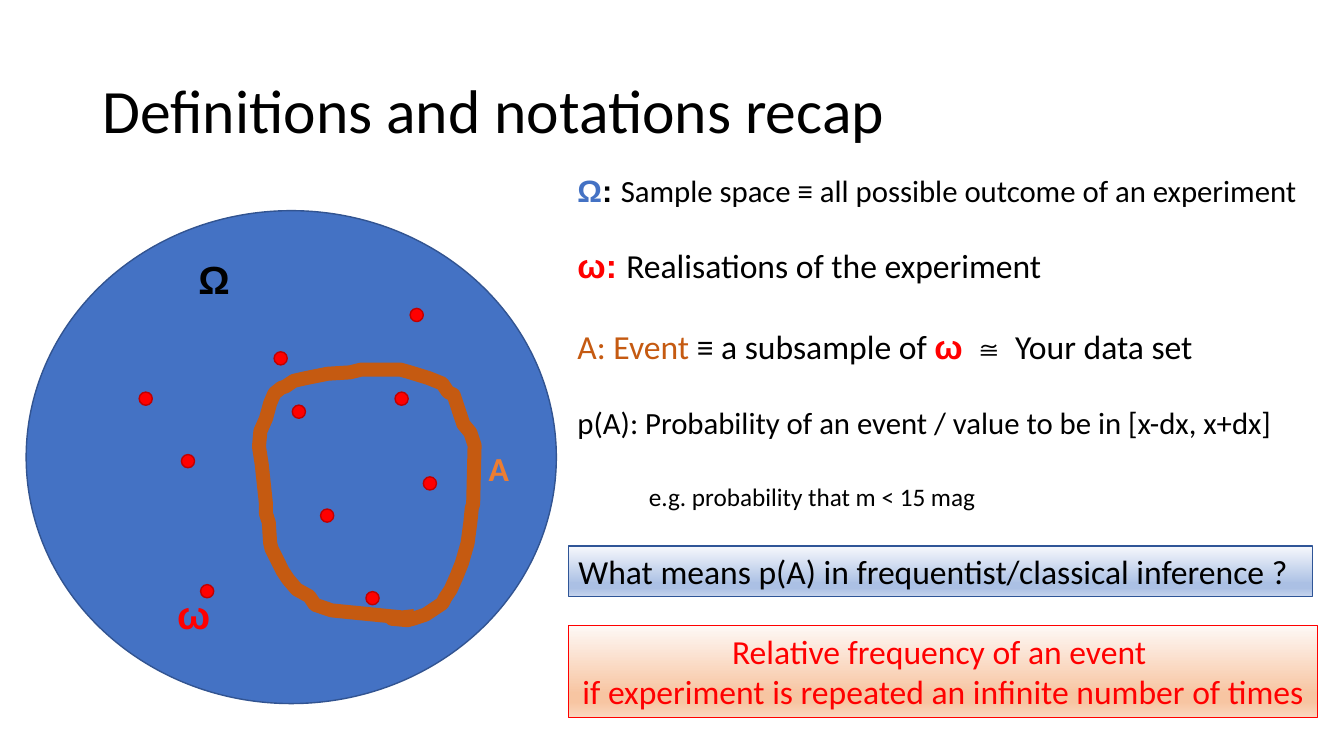
import copy
from dataclasses import dataclass

import pptx
import pptx.dml.color
import pptx.enum.shapes
import pptx.enum.text
import pptx.oxml
import pptx.oxml.ns
import pptx.util

Pt = pptx.util.Pt
Shape = pptx.enum.shapes.MSO_SHAPE
Align = pptx.enum.text.PP_ALIGN
Anchor = pptx.enum.text.MSO_ANCHOR
qn = pptx.oxml.ns.qn

BLACK, RED, BLUE, BROWN = "000000", "FF0000", "4472C4", "C55A11"


@dataclass
class Run:
    text: str
    size: float
    color: str = BLACK
    bold: bool = False
    font: str = "Calibri"


@dataclass
class Line:
    runs: list[Run]
    before: float = 0
    align: Align = Align.LEFT
    pitch: float = 1


@dataclass
class Label:
    x: float
    y: float
    w: float
    h: float
    lines: list[Line]
    wrap: bool = False
    anchor: Anchor = Anchor.TOP


@dataclass
class Panel:
    label: Label
    stops: list[tuple[float, str]]
    edge: str
    width: float


def paint(code: str) -> pptx.dml.color.RGBColor:
    return pptx.dml.color.RGBColor.from_string(code)


def write(shape, label: Label) -> None:
    frame = shape.text_frame
    frame.word_wrap = label.wrap
    frame.vertical_anchor = label.anchor
    for index, line in enumerate(label.lines):
        para = frame.paragraphs[0] if index == 0 else frame.add_paragraph()
        para.alignment = line.align
        para.line_spacing = line.pitch
        para.space_before = Pt(line.before)
        for part in line.runs:
            run = para.add_run()
            run.text = part.text
            run.font.size = Pt(part.size)
            run.font.name = part.font
            run.font.bold = part.bold
            run.font.color.rgb = paint(part.color)


def add_label(slide, label: Label) -> None:
    box = slide.shapes.add_textbox(Pt(label.x), Pt(label.y), Pt(label.w), Pt(label.h))
    write(box, label)


def add_disc(slide, x: float, y: float, w: float, h: float, fill: str, edge: str) -> None:
    disc = slide.shapes.add_shape(Shape.OVAL, Pt(x), Pt(y), Pt(w), Pt(h))
    disc.shadow.inherit = False
    disc.fill.solid()
    disc.fill.fore_color.rgb = paint(fill)
    disc.line.color.rgb = paint(edge)
    disc.line.width = Pt(1)


def add_panel(slide, panel: Panel) -> None:
    label = panel.label
    box = slide.shapes.add_shape(
        Shape.RECTANGLE, Pt(label.x), Pt(label.y), Pt(label.w), Pt(label.h))
    box.shadow.inherit = False
    box.fill.gradient()
    box.fill.gradient_angle = 270
    stops = box._element.spPr.find(qn("a:gradFill")).find(qn("a:gsLst"))
    while len(stops) < len(panel.stops):
        stops.append(copy.deepcopy(stops[0]))
    for stop, (place, code) in zip(box.fill.gradient_stops, panel.stops):
        stop.position = place
        stop.color.rgb = paint(code)
    box.line.color.rgb = paint(panel.edge)
    box.line.width = Pt(panel.width)
    write(box, label)


def add_loop(slide, points: list[tuple[float, float]], color: str, width: float) -> None:
    pen = slide.shapes.build_freeform(*points[0], scale=Pt(1))
    pen.add_line_segments(points[1:], close=False)
    loop = pen.convert_to_shape()
    loop.shadow.inherit = False
    loop.fill.background()
    loop.line.color.rgb = paint(color)
    loop.line.width = Pt(width)
    loop.line._get_or_add_ln().append(pptx.oxml.parse_xml(
        f'<a:round xmlns:a="{pptx.oxml.ns.nsuri("a")}"/>'))


def sign(text: str, size: float, color: str) -> Run:
    return Run(text, size, color, True, "Arial")


TITLE = Label(66, 28.8, 828, 104.4, [
    Line([Run("Definitions and notations recap", 44)], pitch=0.9)], True, Anchor.MIDDLE)

TERMS = Label(405.4, 118.8, 545, 200.9, [
    Line([sign("Ω", 22, BLUE), sign(": ", 22, BLACK),
          Run("Sample space ≡ all possible outcome of an experiment", 22)]),
    Line([sign("ω: ", 24, RED), Run("Realisations of the experiment", 24)], 26.5),
    Line([Run("A: Event ", 24, BROWN), Run("≡ a subsample of ", 24),
          sign("ω ", 24, RED), sign("≅ ", 24, BLACK), Run("Your data set", 24)], 29),
    Line([Run("p(A): Probability of an event / value to be in [x-dx, x+dx]", 22)], 26.5),
])

LABELS = [
    TITLE,
    TERMS,
    Label(134.6, 178.6, 36, 41, [Line([sign("Ω", 28, BLACK)])]),
    Label(119.5, 418.3, 33.8, 41, [Line([sign("ω", 28, RED)])]),
    Label(342, 316.1, 29.5, 36, [Line([Run("A", 24, "ED7D31", True)])]),
    Label(456.5, 340.6, 254.9, 28.8, [Line([Run("e.g. probability that m < 15 mag", 18)])]),
]

PANELS = [
    Panel(Label(406.1, 390.2, 531.4, 36, [
        Line([Run("What means p(A) in frequentist/classical inference ?", 24)])]),
        [(0, "F6F8FC"), (0.74, "ABC0E4"), (0.83, "ABC0E4"), (1, "C7D5ED")],
        "2F5597", 1.25),
    Panel(Label(406.1, 447.1, 535, 65.5, [
        Line([Run(text, 24, RED)], align=Align.CENTER) for text in (
            "Relative frequency of an event ",
            "if experiment is repeated an infinite number of times")]),
        [(0, "FEF8F5"), (0.74, "F7C5A2"), (0.83, "F7C5A2"), (1, "FAD8C1")],
        RED, 0.75),
]

DOT = 9.4
DOTS = [
    (208.8, 289.4), (293, 220.3), (99.4, 280.1), (229, 363.6), (302.4, 340.6),
    (129.6, 324.7), (143.3, 417.6), (282.2, 280.1), (261.4, 422.6), (195.8, 251.3),
]

EVENT = [
    (287, 441), (237, 436), (225, 431.5), (221, 426), (212, 421), (206, 414),
    (202, 408), (197, 398), (194.5, 392.5), (193, 387.5), (191.5, 373), (190, 367),
    (189.5, 360), (187, 332.5), (185, 319), (186.5, 307.5), (189.5, 299),
    (193, 287.5), (196.5, 281), (201, 277), (204.5, 276.5), (210, 272),
    (219, 269.5), (234, 267), (250, 266.5), (258.5, 264.5), (266.5, 263.5),
    (286, 264.5), (293, 266.5), (306.5, 269.5), (315.5, 274.5), (320.5, 279.5),
    (323.5, 282), (326, 288), (328.5, 294), (331, 303), (335.5, 309), (339, 318),
    (338.5, 360), (337, 363), (335.5, 373), (333.5, 387.5), (330, 402),
    (326, 412.5), (322, 421), (318, 427), (315.5, 431), (309.5, 435), (304, 439),
    (295, 442), (291, 443), (279.5, 442), (296, 440.5),
]


def main() -> None:
    deck = pptx.Presentation()
    deck.slide_width, deck.slide_height = Pt(960), Pt(540)
    slide = deck.slides.add_slide(deck.slide_layouts[6])
    add_disc(slide, 18.7, 150.5, 378.7, 352.1, BLUE, "325491")
    for x, y in DOTS:
        add_disc(slide, x, y, DOT, DOT, RED, "C00000")
    add_loop(slide, EVENT, BROWN, 10)
    for label in LABELS:
        add_label(slide, label)
    for panel in PANELS:
        add_panel(slide, panel)
    deck.save("out.pptx")


if __name__ == "__main__":
    main()
